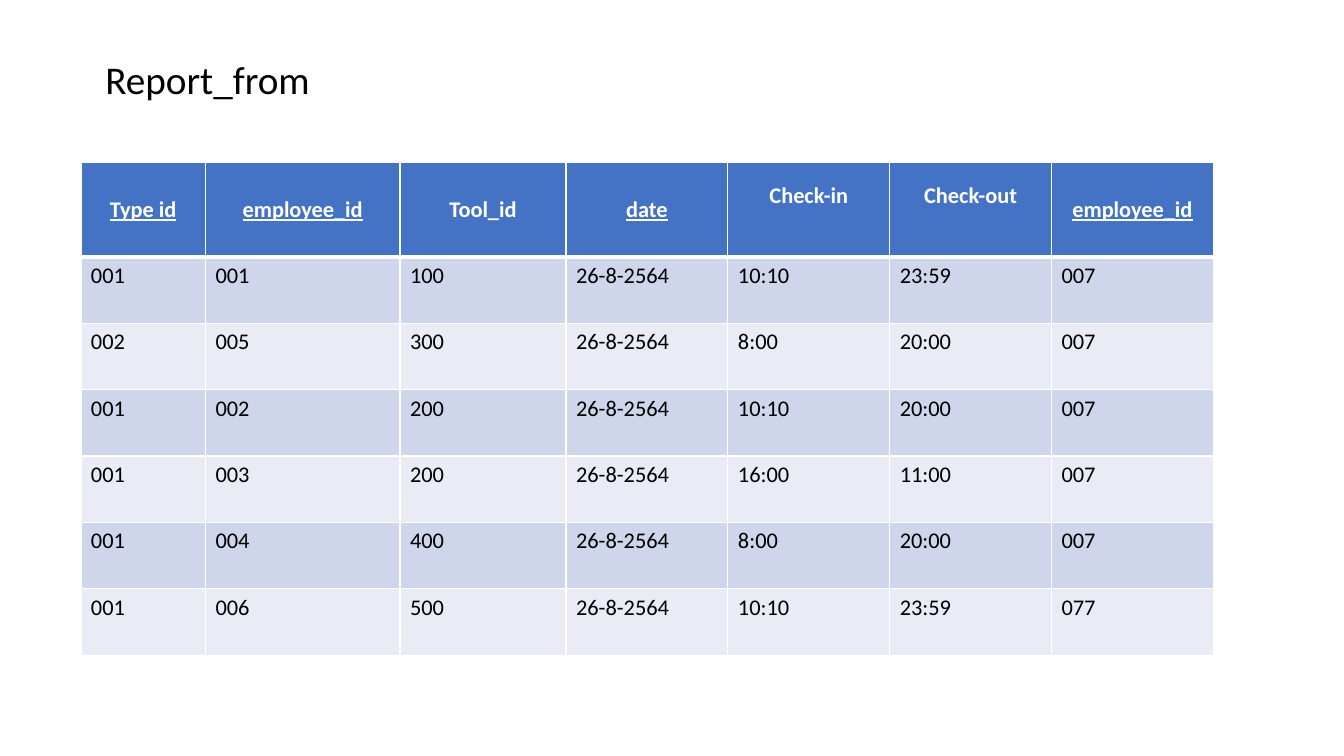
from dataclasses import dataclass

from lxml import etree
from pptx import Presentation
from pptx.dml.color import RGBColor
from pptx.enum.text import MSO_ANCHOR, PP_ALIGN
from pptx.oxml.ns import qn
from pptx.util import Pt

CENTER, LEFT = PP_ALIGN.CENTER, PP_ALIGN.LEFT
MIDDLE, TOP = MSO_ANCHOR.MIDDLE, MSO_ANCHOR.TOP


@dataclass(frozen=True)
class Theme:
    """Colours, font and sizes of the slide."""
    font: str = "Calibri"
    title_size: int = 28
    table_size: int = 16
    ink: str = "000000"
    white: str = "FFFFFF"
    header: str = "4472C4"
    bands: tuple = ("CFD5EA", "E9EBF5")
    thin_rule: int = 1
    thick_rule: int = 3


THEME = Theme()
TITLE_BOX = (26.6, 36, 243.4, 41)
REPORT_BOX = (57.8, 116, 809, 352)
HEADER_HEIGHT = 67.6
FIRST_WIDTHS = (89, 139, 118.6)

HEADINGS = ("Type id", "employee_id", "Tool_id", "date", "Check-in", "Check-out", "employee_id")
UNDERLINED = {"Type id", "employee_id", "date"}
RAISED = {"Check-in", "Check-out"}
RAISED_MARGIN = 23
RECORDS = (
    ("001", "001", "100", "26-8-2564", "10:10", "23:59", "007"),
    ("002", "005", "300", "26-8-2564", "8:00", "20:00", "007"),
    ("001", "002", "200", "26-8-2564", "10:10", "20:00", "007"),
    ("001", "003", "200", "26-8-2564", "16:00", "11:00", "007"),
    ("001", "004", "400", "26-8-2564", "8:00", "20:00", "007"),
    ("001", "006", "500", "26-8-2564", "10:10", "23:59", "077"),
)


def write_text(frame, text, *, size, color=THEME.ink, bold=False, underline=False, align=LEFT):
    """Write one formatted paragraph into a text frame."""
    paragraph = frame.paragraphs[0]
    paragraph.alignment = align
    run = paragraph.add_run()
    run.text = text
    font = run.font
    font.name, font.size = THEME.font, Pt(size)
    font.bold, font.underline = bold, underline
    font.color.rgb = RGBColor.from_string(color)


def set_borders(cell, top, bottom):
    """Draw white cell borders with the given top and bottom widths."""
    properties = cell._tc.get_or_add_tcPr()
    widths = {"a:lnL": THEME.thin_rule, "a:lnR": THEME.thin_rule, "a:lnT": top, "a:lnB": bottom}
    for tag, width in widths.items():
        line = etree.SubElement(properties, qn(tag), w=str(Pt(width)))
        fill = etree.SubElement(line, qn("a:solidFill"))
        etree.SubElement(fill, qn("a:srgbClr"), val=THEME.white)


def style_cell(cell, fill, anchor, top, bottom):
    """Set the borders, fill and vertical anchor of a cell."""
    set_borders(cell, top, bottom)
    cell.fill.solid()
    cell.fill.fore_color.rgb = RGBColor.from_string(fill)
    cell.vertical_anchor = anchor


def add_title(slide, box):
    """Place the slide title in its box."""
    title = slide.shapes.title
    title.left, title.top, title.width, title.height = map(Pt, box)
    write_text(title.text_frame, "Report_from", size=THEME.title_size, align=CENTER)


def fill_header(table):
    """Fill the heading row."""
    for column, heading in enumerate(HEADINGS):
        cell = table.cell(0, column)
        style_cell(cell, THEME.header, MIDDLE, THEME.thin_rule, THEME.thick_rule)
        if heading in RAISED:
            cell.margin_bottom = Pt(RAISED_MARGIN)
        write_text(cell.text_frame, heading, size=THEME.table_size, color=THEME.white,
                   bold=True, underline=heading in UNDERLINED, align=CENTER)


def fill_records(table):
    """Fill the banded rows below the heading."""
    for index, record in enumerate(RECORDS):
        top = THEME.thin_rule if index else THEME.thick_rule
        for column, value in enumerate(record):
            cell = table.cell(index + 1, column)
            style_cell(cell, THEME.bands[index % 2], TOP, top, THEME.thin_rule)
            write_text(cell.text_frame, value, size=THEME.table_size)


def add_report(slide, box):
    """Build the report table, sharing out what the box leaves for equal parts."""
    width, height = box[2:]
    table = slide.shapes.add_table(len(RECORDS) + 1, len(HEADINGS), *map(Pt, box)).table
    equal_columns = len(HEADINGS) - len(FIRST_WIDTHS)
    equal_width = (width - sum(FIRST_WIDTHS)) / equal_columns
    for column, size in zip(table.columns, FIRST_WIDTHS + (equal_width,) * equal_columns):
        column.width = Pt(size)
    record_height = (height - HEADER_HEIGHT) / len(RECORDS)
    for index, row in enumerate(table.rows):
        row.height = Pt(record_height if index else HEADER_HEIGHT)
    fill_header(table)
    fill_records(table)


def main():
    """Build and save the presentation."""
    deck = Presentation()
    deck.slide_width, deck.slide_height = Pt(960), Pt(540)
    slide = deck.slides.add_slide(deck.slide_layouts.get_by_name("Title Only"))
    add_title(slide, TITLE_BOX)
    add_report(slide, REPORT_BOX)
    deck.save("out.pptx")


main()
